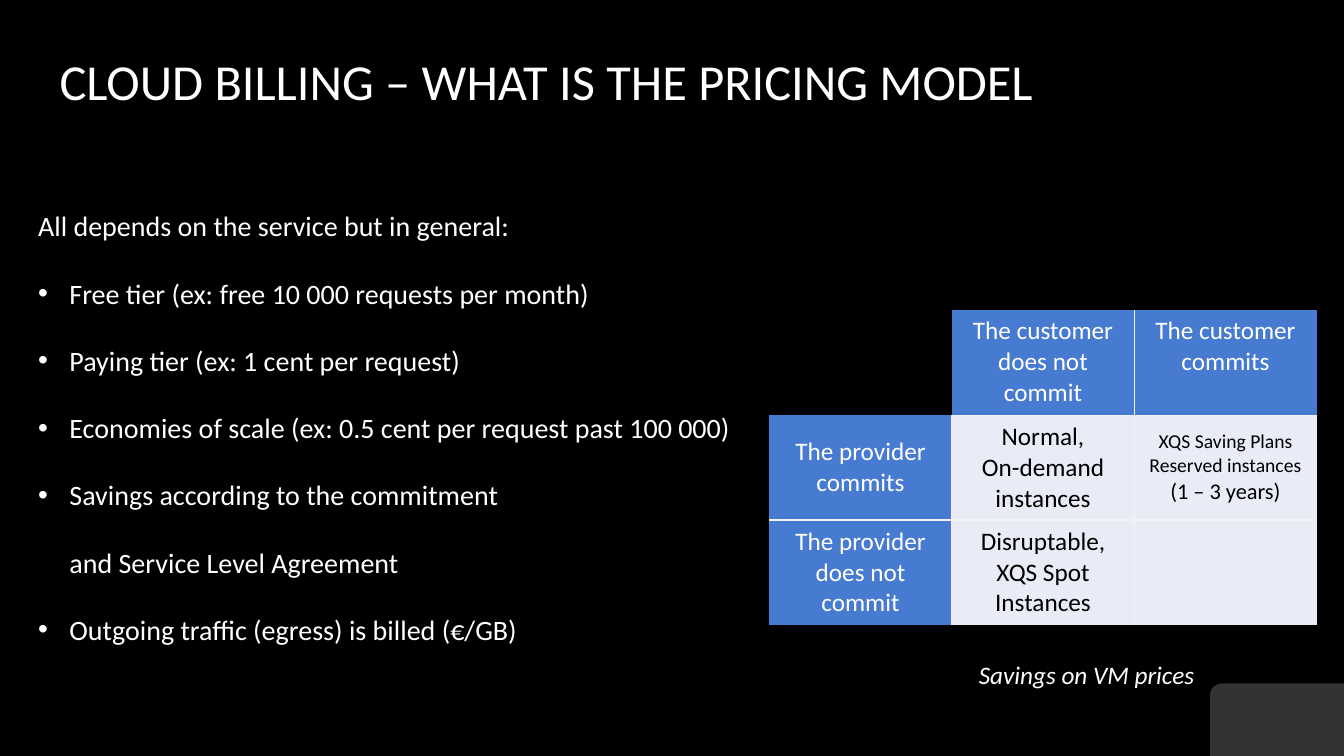
from dataclasses import dataclass

from lxml import etree
from pptx import Presentation
from pptx.dml.color import RGBColor
from pptx.enum.shapes import MSO_SHAPE
from pptx.enum.text import MSO_ANCHOR, PP_ALIGN
from pptx.oxml.ns import qn
from pptx.util import Inches, Pt

LEFT, CENTER = PP_ALIGN.LEFT, PP_ALIGN.CENTER
TOP, MIDDLE = MSO_ANCHOR.TOP, MSO_ANCHOR.MIDDLE
CORNER_TAB = MSO_SHAPE.ROUND_1_RECTANGLE
TITLE_ONLY = 5
NO_TABLE_STYLE = "{2D5ABB26-0587-4C30-8999-92F81FD0307C}"

INTRO = "All depends on the service but in general:"
BULLETS = [
    "Free tier (ex: free 10 000 requests per month)",
    "Paying tier (ex: 1 cent per request)",
    "Economies of scale (ex: 0.5 cent per request past 100 000)",
    "Savings according to the commitment\nand Service Level Agreement",
    "Outgoing traffic (egress) is billed (€/GB)",
]
COMMITMENTS = [
    ["", "The customer does not commit", "The customer commits"],
    ["The provider commits", "Normal,\nOn-demand instances",
     "XQS Saving Plans\nReserved instances"],
    ["The provider does not commit", "Disruptable,\nXQS Spot Instances", ""],
]


@dataclass(frozen=True)
class Theme:
    font: str = "Calibri"
    background: str = "000000"
    light: str = "FFFFFF"
    dark: str = "000000"
    header: str = "477BD1"
    body: str = "E9ECF7"
    border: str = "F2F2F2"
    title_size: int = 36
    text_size: int = 20
    table_size: int = 18
    note_size: int = 16
    small_size: int = 14


class SlideBuilder:
    def __init__(self, deck, theme):
        self.theme = theme
        self.slide = deck.slides.add_slide(deck.slide_layouts[TITLE_ONLY])
        self.paint(self.slide.background.fill, theme.background)

    def paint(self, fill, color):
        fill.solid()
        fill.fore_color.rgb = RGBColor.from_string(color)

    def style(self, para, size, color, align=LEFT, italic=False):
        para.alignment = align
        font = para.font
        font.name, font.size, font.italic = self.theme.font, Pt(size), italic
        font.color.rgb = RGBColor.from_string(color)

    def corner_tab(self, left, top, width, height, opacity):
        tab = self.slide.shapes.add_shape(
            CORNER_TAB, Inches(left), Inches(top), Inches(width), Inches(height))
        tab.shadow.inherit = False
        tab.line.fill.background()
        self.paint(tab.fill, self.theme.light)
        tab.element.spPr.find(qn("a:xfrm")).set("flipH", "1")
        color = tab.element.spPr.find(f"{qn('a:solidFill')}/{qn('a:srgbClr')}")
        etree.SubElement(color, qn("a:alpha")).set("val", str(opacity * 1000))

    def title(self, text, left, top, width, height):
        title = self.slide.shapes.title
        title.left, title.top = Inches(left), Inches(top)
        title.width, title.height = Inches(width), Inches(height)
        title.text_frame.vertical_anchor = MIDDLE
        para = title.text_frame.paragraphs[0]
        para.text = text
        self.style(para, self.theme.title_size, self.theme.light)

    def text(self, lines, left, top, width, height, size, spacing,
             first_bullet=1, italic=False):
        """Add a text box; lines from first_bullet onwards are bulleted."""
        box = self.slide.shapes.add_textbox(
            Inches(left), Inches(top), Inches(width), Inches(height))
        frame = box.text_frame
        frame.word_wrap = True
        for index, line in enumerate(lines):
            para = frame.add_paragraph() if index else frame.paragraphs[0]
            para.text = line
            if index >= first_bullet:
                self.bullet(para)
            para.line_spacing = spacing
            self.style(para, size, self.theme.light, italic=italic)

    def bullet(self, para, indent=0.31):
        properties = para._p.get_or_add_pPr()
        properties.set("marL", str(Inches(indent)))
        properties.set("indent", str(-Inches(indent)))
        etree.SubElement(properties, qn("a:buFont")).set("typeface", "Arial")
        etree.SubElement(properties, qn("a:buChar")).set("char", "•")

    def border(self, cell, side):
        line = etree.SubElement(cell._tc.get_or_add_tcPr(), qn(f"a:{side}"))
        line.set("w", str(Pt(1)))
        fill = etree.SubElement(line, qn("a:solidFill"))
        etree.SubElement(fill, qn("a:srgbClr")).set("val", self.theme.border)

    def matrix(self, rows, left, top, column_width, row_height):
        """Add a table with header row and column and an open corner."""
        row_count, column_count = len(rows), len(rows[0])
        table = self.slide.shapes.add_table(
            row_count, column_count, Inches(left), Inches(top),
            Inches(column_width * column_count),
            Inches(row_height * row_count)).table
        table._tbl.tblPr.find(qn("a:tableStyleId")).text = NO_TABLE_STYLE
        table.first_row = table.horz_banding = False
        for column in table.columns:
            column.width = Inches(column_width)
        for row in table.rows:
            row.height = Inches(row_height)
        for r, row in enumerate(rows):
            for c, text in enumerate(row):
                if r or c:
                    cell = table.cell(r, c)
                    if c < column_count - 1:
                        self.border(cell, "lnR")
                    if r < row_count - 1:
                        self.border(cell, "lnB")
                    self.fill_cell(cell, text, is_header=r == 0 or c == 0)
                    cell.vertical_anchor = MIDDLE if r else TOP
        return table

    def fill_cell(self, cell, text, is_header):
        theme = self.theme
        self.paint(cell.fill, theme.header if is_header else theme.body)
        para = cell.text_frame.paragraphs[0]
        para.text = text
        self.style(para, theme.table_size,
                   theme.light if is_header else theme.dark, CENTER)

    def add_cell_note(self, cell, note):
        """Shrink the cell's text and add a slightly larger last line."""
        para = cell.text_frame.paragraphs[0]
        para.font.size = Pt(self.theme.small_size)
        para.add_line_break()
        span = para.add_run()
        span.text = note
        span.font.size = Pt(self.theme.note_size)


def main():
    deck = Presentation()
    deck.slide_width, deck.slide_height = Inches(13.33), Inches(7.5)
    theme = Theme()
    page = SlideBuilder(deck, theme)
    page.corner_tab(12, 6.78, 1.33, 0.72, opacity=20)
    page.title("CLOUD BILLING – WHAT IS THE PRICING MODEL", 0.49, 0, 11.08, 1.59)
    page.text([INTRO] + BULLETS, 0.28, 1.69, 7.52, 4.72, theme.text_size, 2.0)
    table = page.matrix(COMMITMENTS, 7.63, 3.08, 1.81, 1.04)
    page.add_cell_note(table.cell(1, 2), "(1 – 3 years)")
    page.text(["Savings on VM prices"], 9.61, 6.34, 3.35, 0.51,
              theme.table_size, 1.5, italic=True)
    deck.save("out.pptx")


if __name__ == "__main__":
    main()
